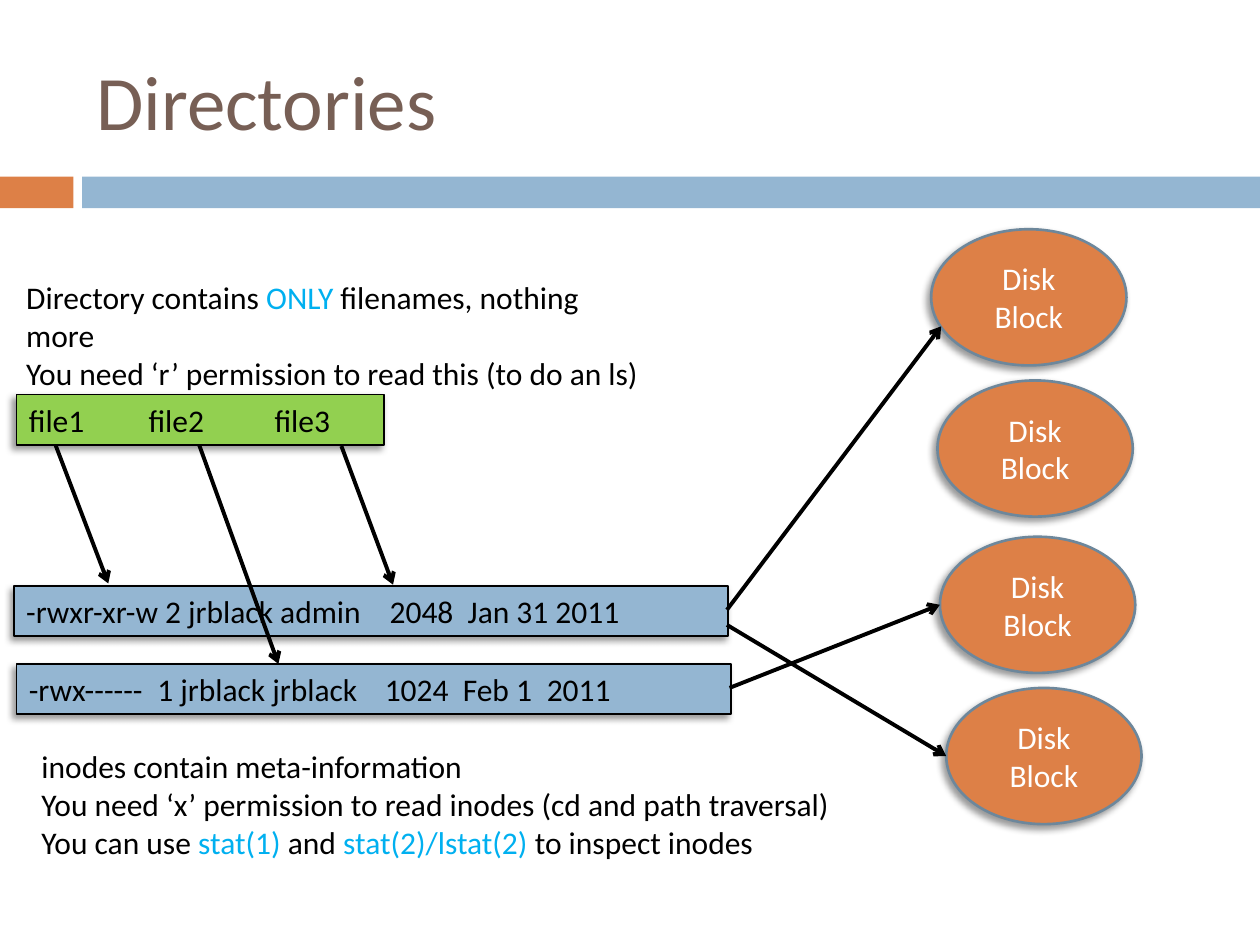
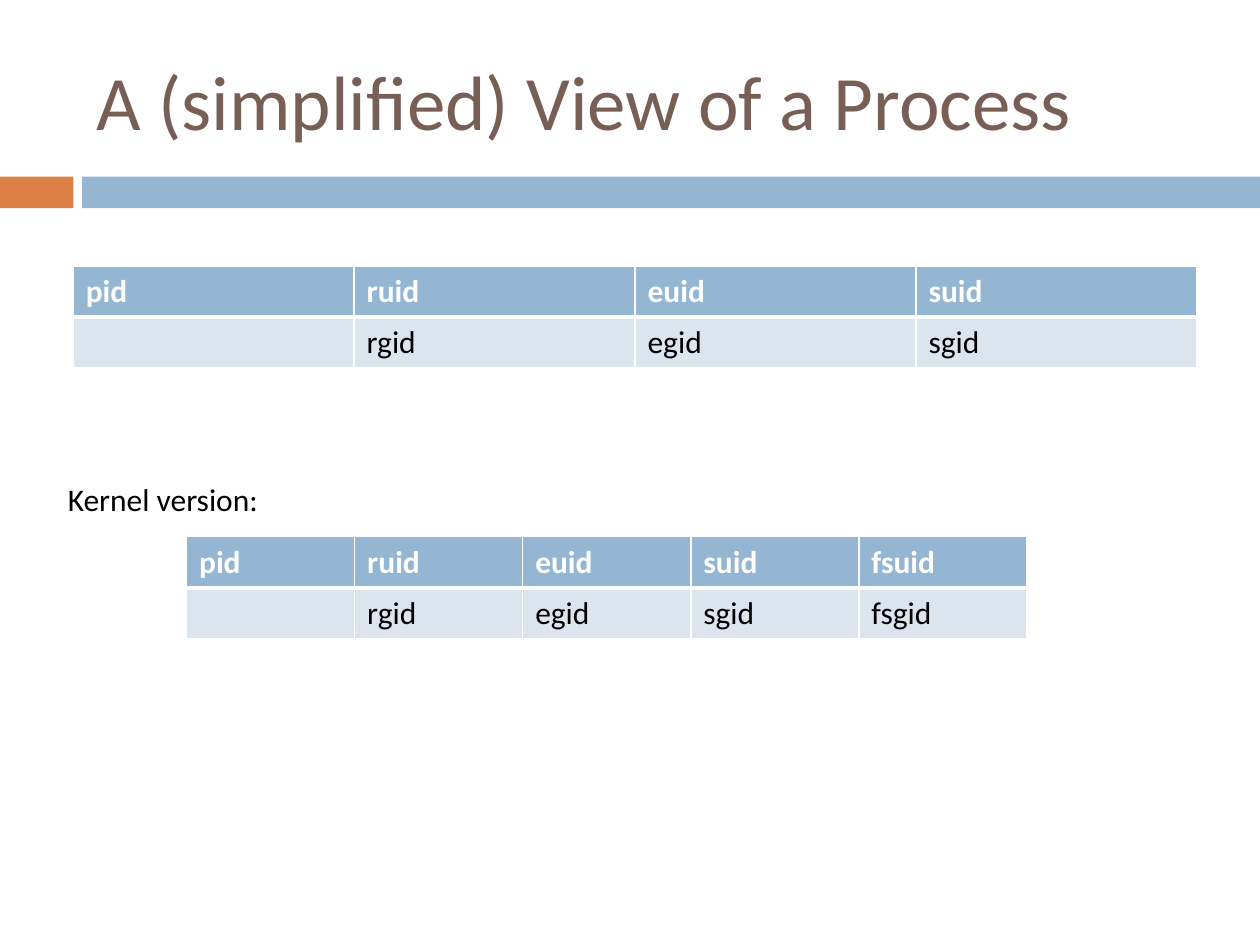
from lxml.etree import SubElement
from pptx import Presentation
from pptx.dml.color import RGBColor
from pptx.enum.shapes import MSO_CONNECTOR as CONN, MSO_SHAPE as SHAPE
from pptx.enum.text import MSO_ANCHOR as ANCHOR, MSO_AUTO_SIZE as AUTO, PP_ALIGN as ALIGN
from pptx.oxml.ns import qn
from pptx.util import Pt

BLACK, WHITE, BROWN = "000000", "FFFFFF", "775F55"
ORANGE, BLUE, PALE = "DD8047", "94B6D2", "DCE5EE"
GREEN, CYAN, SLATE = "92D050", "00B0F0", "6D879B"


def rgb(value):
    return RGBColor.from_string(value)


def sub(parent, tag, **attrs):
    return SubElement(parent, qn(tag), {k: str(v) for k, v in attrs.items()})


class Deck:
    """Holds the shared style and the current slide, and draws each kind of element."""

    font = {"name": "Calibri", "size": Pt(18), "bold": False}

    def __init__(self):
        self.prs = Presentation()
        self.prs.slide_width, self.prs.slide_height = Pt(720), Pt(540)

    def slide(self, title):
        self.s = self.prs.slides.add_slide(self.prs.slide_layouts[6])
        self.shape(SHAPE.RECTANGLE, (0, 101, 42, 18), ORANGE)
        self.shape(SHAPE.RECTANGLE, (47, 101, 673, 18), BLUE)
        self.text((48, 18, 642, 78), [title], BROWN, ANCHOR.MIDDLE, size=Pt(44))

    def fill_text(self, tf, lines, color=BLACK, align=ALIGN.LEFT, tabs=(), **fmt):
        for i, line in enumerate(lines):
            p = tf.add_paragraph() if i else tf.paragraphs[0]
            p.alignment = align
            if tabs:
                stops = sub(p._p.get_or_add_pPr(), "a:tabLst")
                for pos in tabs:
                    sub(stops, "a:tab", pos=Pt(pos), algn="l")
            for part in [line] if isinstance(line, str) else line:
                words, tint = (part, color) if isinstance(part, str) else part
                r = p.add_run()
                r.text = words
                for key, value in {**self.font, **fmt}.items():
                    setattr(r.font, key, value)
                r.font.color.rgb = rgb(tint)

    def text(self, box, lines, color=BLACK, anchor=ANCHOR.TOP, **fmt):
        tf = self.s.shapes.add_textbox(*map(Pt, box)).text_frame
        frame = {"word_wrap": True, "auto_size": AUTO.NONE, "vertical_anchor": anchor}
        for key, value in frame.items():
            setattr(tf, key, value)
        self.fill_text(tf, lines, color, **fmt)

    def shape(self, kind, box, fill, line=None, width=1):
        sp = self.s.shapes.add_shape(kind, *map(Pt, box))
        sp.fill.solid()
        sp.fill.fore_color.rgb = rgb(fill)
        sp.shadow.inherit = False
        if line:
            sp.line.color.rgb = rgb(line)
            sp.line.width = Pt(width)
            shadow = sub(sp._element.spPr.find(qn("a:effectLst")), "a:outerShdw",
                         blurRad=Pt(4), dist=Pt(3), dir=135 * 60000, rotWithShape=0)
            sub(sub(shadow, "a:srgbClr", val=BLACK), "a:alpha", val=40000)
        else:
            sp.line.fill.background()
        return sp

    def record(self, box, label, fill, tabs):
        tf = self.shape(SHAPE.RECTANGLE, box, fill, BLACK).text_frame
        tf.word_wrap, tf.vertical_anchor = True, ANCHOR.TOP
        self.fill_text(tf, [label], tabs=tabs)

    def disk_block(self, x, y):
        sp = self.shape(SHAPE.OVAL, (x, y, 111.6, 77.8), ORANGE, SLATE, 1.5)
        sp.text_frame.word_wrap = True
        sp.text_frame.vertical_anchor = ANCHOR.MIDDLE
        self.fill_text(sp.text_frame, ["Disk Block"], WHITE, ALIGN.CENTER)

    def arrow(self, *ends):
        cx = self.s.shapes.add_connector(CONN.STRAIGHT, *map(Pt, ends))
        cx.line.color.rgb = rgb(BLACK)
        cx.line.width = Pt(2.25)
        spPr = cx._element.spPr
        sub(spPr.find(qn("a:ln")), "a:tailEnd", type="arrow")
        sub(spPr, "a:effectLst")

    def table(self, x, y, width, rows, height=29.2):
        box = map(Pt, (x, y, width, height * len(rows)))
        tbl = self.s.shapes.add_table(len(rows), len(rows[0]), *box).table
        for col in tbl.columns:
            col.width = Pt(width / len(rows[0]))
        for i, row in enumerate(rows):
            tbl.rows[i].height = Pt(height)
            head = i == 0
            for j, label in enumerate(row):
                cell = tbl.cell(i, j)
                tcPr = cell._tc.get_or_add_tcPr()
                borders = {"L": 1, "R": 1, "T": 1 if head else 3, "B": 3 if head else 1}
                for side, w in borders.items():
                    ln = sub(tcPr, f"a:ln{side}", w=Pt(w))
                    sub(sub(ln, "a:solidFill"), "a:srgbClr", val=WHITE)
                cell.fill.solid()
                cell.fill.fore_color.rgb = rgb(BLUE if head else PALE)
                if label:
                    self.fill_text(cell.text_frame, [label], WHITE if head else BLACK,
                                   bold=head)


deck = Deck()

deck.slide("Directories")
deck.record((9.4, 225.4, 210.2, 28.8), "file1\tfile2\tfile3", GREEN, (68.4, 140.4))
deck.text((7.9, 155.5, 365.8, 51), [
    ["Directory contains ", ("ONLY", CYAN), " filenames, nothing more"],
    "You need ‘r’ permission to read this (to do an ls)"])
deck.record((7.9, 334.8, 408.2, 28.8), "-rwxr-xr-w 2 jrblack admin\t2048\tJan 31 2011",
            BLUE, (207.7, 252.3))
deck.record((9.4, 379.4, 408.2, 28.8), "-rwx------\t1 jrblack jrblack\t1024\tFeb 1\t2011",
            BLUE, (73.4, 203.4, 248, 296))
deck.text((16.6, 423.4, 540.7, 72.7), [
    "inodes contain meta-information",
    "You need ‘x’ permission to read inodes (cd and path traversal)",
    ["You can use ", ("stat(1)", CYAN), " and ", ("stat(2)/lstat(2) ", CYAN),
     "to inspect inodes"]])
for spot in [(532.1, 131), (535.7, 217.4), (537.1, 306.7), (540.7, 393.1)]:
    deck.disk_block(*spot)
for ends in [(31.7, 254.2, 61.9, 333.4), (195.1, 254.9, 224.6, 334.1),
             (113.8, 254.2, 159.1, 379.4), (415.4, 348.5, 537.8, 186.5),
             (415.4, 357.1, 540.7, 432), (416.9, 393.1, 537.1, 345.6)]:
    deck.arrow(*ends)

deck.slide("A (simplified) View of a Process")
user_ids = ["pid", "ruid", "euid", "suid"]
group_ids = ["", "rgid", "egid", "sgid"]
deck.table(41.8, 151.9, 642.2, [user_ids, group_ids])
deck.table(106.6, 306.7, 480.2, [user_ids + ["fsuid"], group_ids + ["fsgid"]])
deck.text((31.7, 270.7, 139, 28.8), ["Kernel version:"])

deck.prs.save("out.pptx")
